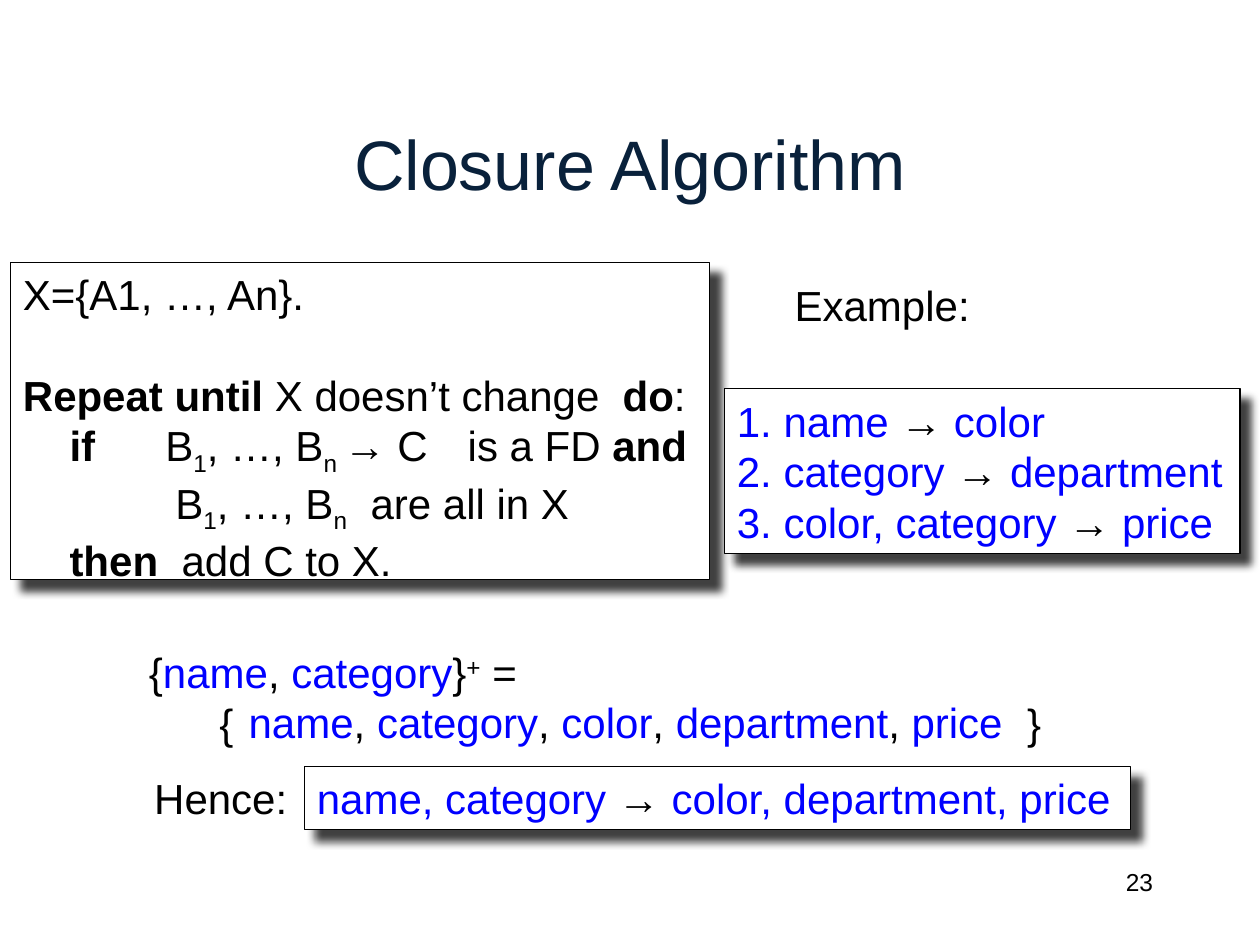
import pptx
import pptx.dml.color
import pptx.enum.shapes
import pptx.enum.text
import pptx.oxml
import pptx.oxml.ns
import pptx.util

COLORS = {"ink": "000000", "attribute": "0000FF", "title": "09213B", "paper": "FFFFFF"}
ALIGN = pptx.enum.text.PP_ALIGN
ANCHOR = pptx.enum.text.MSO_ANCHOR
NS = pptx.oxml.ns.nsdecls("a")
ATTRIBUTE = {"color": "attribute"}
BOLD = {"bold": True}
SUB = {"baseline": -25}
SUPER = {"baseline": 30}


def rgb(name):
    return pptx.dml.color.RGBColor.from_string(COLORS[name])


def write_run(paragraph, text, font="Arial", size=24, color="ink", bold=False, baseline=0):
    run = paragraph.add_run()
    run.text = text
    run.font.name = font
    run.font.size = pptx.util.Pt(size)
    run.font.bold = bold
    run.font.color.rgb = rgb(color)
    if baseline:
        run.font._element.set("baseline", str(baseline * 1000))


def attributes(names):
    runs = []
    for name in names.split(", "):
        runs += [", ", (name, ATTRIBUTE)]
    return runs[1:]


def dependency(left, right):
    return [(left + " ", ATTRIBUTE), "→ ", (right, ATTRIBUTE)]


class ClosureSlide:
    cell = pptx.util.Inches(1) / 12

    def __init__(self, presentation):
        self.slide = presentation.slides.add_slide(presentation.slide_layouts[5])

    def area(self, *cells):
        return [round(value * self.cell) for value in cells]

    def fill_text(self, shape, lines, align=ALIGN.LEFT, anchor=ANCHOR.TOP, tabs=(),
                  gaps=None, **style):
        frame = shape.text_frame
        frame.word_wrap = True
        frame.vertical_anchor = anchor
        if align == ALIGN.LEFT:
            frame.margin_right = 0
        for index, line in enumerate(lines):
            paragraph = frame.paragraphs[0] if index == 0 else frame.add_paragraph()
            paragraph.alignment = align
            if index < len(tabs):
                self.set_tabs(paragraph, tabs[index])
            if gaps and index in gaps:
                paragraph.space_before = pptx.util.Pt(gaps[index])
            for part in line:
                text, changes = (part, {}) if isinstance(part, str) else part
                write_run(paragraph, text, **{**style, **changes})

    def set_tabs(self, paragraph, stops):
        if stops:
            marks = "".join(
                f'<a:tab pos="{pptx.util.Inches(stop)}" algn="l"/>' for stop in stops)
            paragraph._p.get_or_add_pPr().append(
                pptx.oxml.parse_xml(f"<a:tabLst {NS}>{marks}</a:tabLst>"))

    def title(self, text, cells):
        heading = self.slide.shapes.title
        heading.left, heading.top, heading.width, heading.height = self.area(*cells)
        self.fill_text(heading, [[text]], ALIGN.CENTER, ANCHOR.MIDDLE, size=40, color="title")

    def label(self, lines, cells, **style):
        self.fill_text(self.slide.shapes.add_textbox(*self.area(*cells)), lines, **style)

    def card(self, lines, cells, **style):
        card = self.slide.shapes.add_shape(
            pptx.enum.shapes.MSO_SHAPE.RECTANGLE, *self.area(*cells))
        card.fill.solid()
        card.fill.fore_color.rgb = rgb("paper")
        card.line.color.rgb = rgb("ink")
        card.line.width = pptx.util.Pt(0.75)
        card.shadow.inherit = False
        effects = card._element.spPr.find(pptx.oxml.ns.qn("a:effectLst"))
        effects.append(pptx.oxml.parse_xml(
            f'<a:outerShdw {NS} blurRad="{pptx.util.Pt(5)}" dist="{pptx.util.Pt(8.5)}" '
            f'dir="{45 * 60000}" algn="tl" rotWithShape="0">'
            f'<a:srgbClr val="{COLORS["ink"]}"><a:alpha val="75000"/></a:srgbClr>'
            "</a:outerShdw>"))
        self.fill_text(card, lines, **style)


def main():
    presentation = pptx.Presentation()
    presentation.slide_width = pptx.util.Inches(10)
    presentation.slide_height = pptx.util.Inches(7.5)
    slide = ClosureSlide(presentation)

    slide.label([["23"]], (86, 82, 25, 6), align=ALIGN.RIGHT, size=14)
    slide.title("Closure Algorithm", (9, 8, 102, 15))

    algorithm = [
        ["X={A1, …, An}."],
        [("Repeat until", BOLD), " X doesn’t change\t", ("do", BOLD), ":"],
        ["\t", ("if", BOLD), "\tB", ("1", SUB), ", …, B", ("n ", SUB),
         "→ C\tis a FD ", ("and", BOLD)],
        ["\tB", ("1", SUB), ", …, B", ("n", SUB), "\tare all in X"],
        ["\t", ("then", BOLD), "\tadd C to X."],
    ]
    stops = [(), (4.76,), (0.37, 1.13, 3.53), (1.21, 2.76), (0.37, 1.26)]
    slide.card(algorithm, (1, 25, 66.6, 30.2), tabs=stops, gaps={1: 28.8})

    slide.label([["{", *attributes("name, category"), "}", ("+", SUPER), " ="],
                 ["\t{\t}"]],
                (13, 61, 104, 10.9), tabs=[(), (0.56, 6.97)])
    slide.label([["Example:"]], (74.5, 26, 19.3, 6))
    slide.label([attributes("name, category, color, department, price")],
                (22.5, 65.75, 77.6, 6))
    slide.label([["Hence:"]], (13.5, 73, 15.2, 6))
    slide.card([dependency("name, category", "color, department, price")],
               (29, 73, 78.7, 6), anchor=ANCHOR.MIDDLE)
    slide.card([dependency("1. name", "color"),
                dependency("2. category", "department"),
                dependency("3. color, category", "price")],
               (69, 37, 49.1, 15.7), anchor=ANCHOR.MIDDLE)

    presentation.save("out.pptx")


if __name__ == "__main__":
    main()
